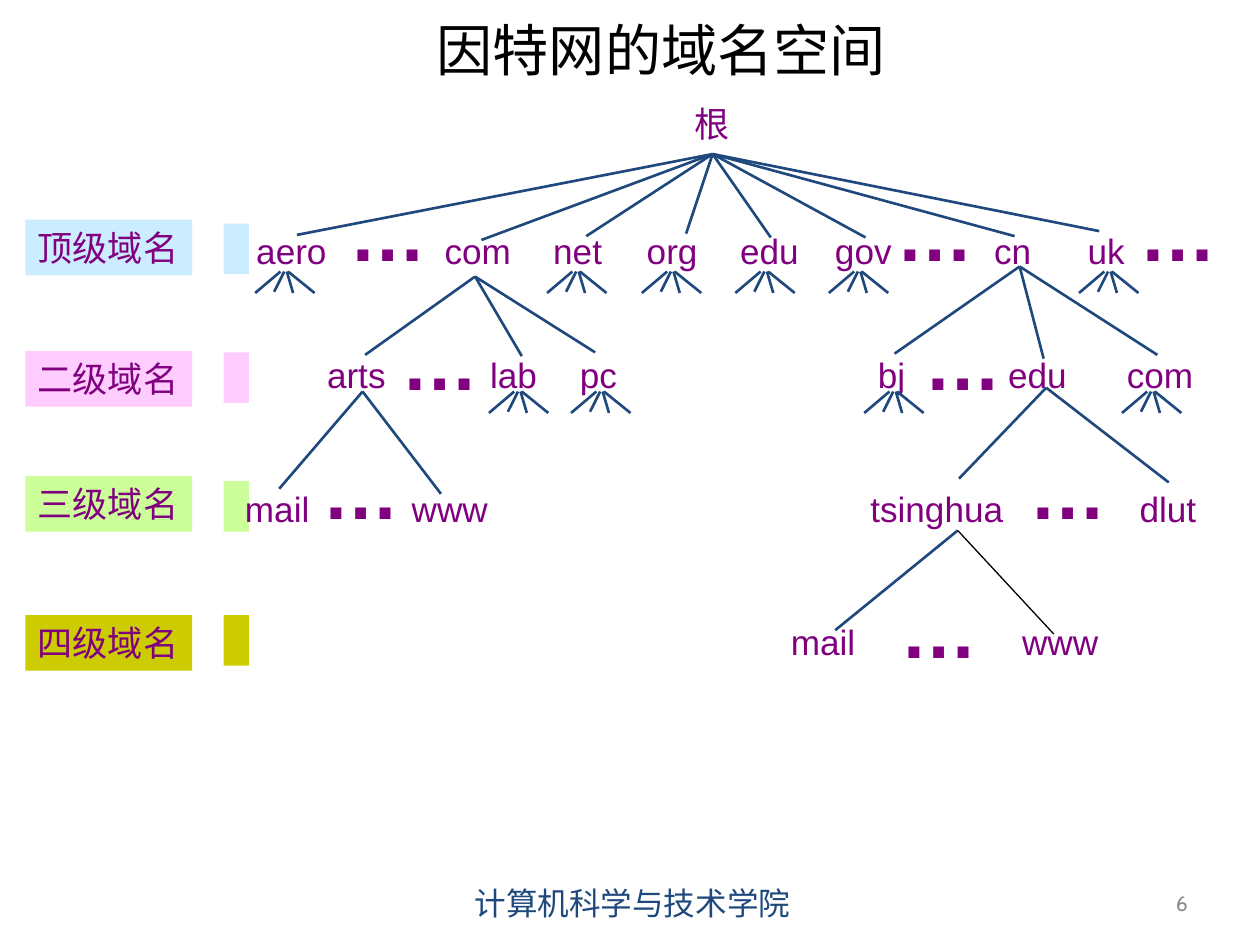
from dataclasses import dataclass

import lxml.etree
import pptx
import pptx.dml.color
import pptx.enum.shapes
import pptx.enum.text
import pptx.oxml.ns
import pptx.util

PX = 9144  # EMU in one px, 100 px to the inch
ALIGN = pptx.enum.text.PP_ALIGN
ANCHOR = pptx.enum.text.MSO_ANCHOR


@dataclass(frozen=True)
class Theme:
    title: str = "000000"
    label: str = "800080"
    branch: str = "1F497D"
    thin_branch: str = "000000"
    number: str = "8C8C8C"
    background: str = "FFFFFF"
    title_size: int = 32
    label_size: int = 20
    dots_size: int = 44
    footer_size: int = 18
    number_size: int = 12
    label_font: str = "Arial"
    footer_font: str = "Cabin"
    chinese_font: str = "Noto Sans CJK SC"
    branch_width: float = 1.5
    thin_width: float = 0.75


THEME = Theme()


@dataclass(frozen=True)
class Level:
    caption: str
    color: str
    caption_top: int
    tab_top: int
    names_top: int
    names: tuple  # (text, left, width)
    dots_top: int
    dots: tuple  # left edges
    fan_top: int = 0
    fans: tuple = ()  # centres


LEVELS = (
    Level("顶级域名", "CCECFF", 174, 177, 177,
          (("aero", 193, 76), ("com", 342, 73), ("net", 428, 59), ("org", 502, 61),
           ("edu", 576, 67), ("gov", 651, 65), ("cn", 777, 50), ("uk", 851, 50)),
          141, (267, 700, 892), 215, (225, 456, 531, 605, 679, 877)),
    Level("二级域名", "FFCCFF", 278, 279, 275,
          (("arts", 249, 70), ("lab", 378, 65), ("pc", 449, 51),
           ("bj", 685, 42), ("edu", 788, 67), ("com", 882, 73)),
          243, (308, 722), 310, (410, 475, 707, 911)),
    Level("三级域名", "CCFF99", 377, 381, 381,
          (("mail", 184, 72), ("www", 316, 81), ("tsinghua", 679, 126), ("dlut", 892, 65)),
          345, (245, 805)),
    Level("四级域名", "CCCC00", 487, 487, 486,
          (("mail", 616, 72), ("www", 799, 81)),
          455, (703,)),
)

ROOT_BRANCH_ENDS = ((235, 186), (381, 190), (464, 187), (543, 185),
                    (610, 188), (685, 188), (803, 187), (870, 183))

# Parent point, then the points of its children
BRANCHES = (
    ((376, 219), ((289, 281), (413, 282), (471, 279))),
    ((807, 211), ((708, 280), (826, 284), (916, 281))),
    ((287, 310), ((221, 387), (349, 391))),
    ((828, 307), ((759, 379), (925, 382))),
    ((758, 420), ((661, 499),)),
)

# Start x, end x and depth of each ray, from the centre of the fan
FAN_RAYS = ((-3, -23, 17), (0, -8, 16), (2, 7, 17), (3, 24, 17))


def px(*lengths):
    return [pptx.util.Emu(length * PX) for length in lengths]


def rgb(color):
    return pptx.dml.color.RGBColor.from_string(color)


def write_text(shape, text, size, color, font_name=THEME.label_font, align=ALIGN.LEFT,
               anchor=ANCHOR.TOP, wrap=False, bold=False):
    frame = shape.text_frame
    frame.word_wrap = wrap
    frame.vertical_anchor = anchor
    paragraph = frame.paragraphs[0]
    paragraph.text = text
    paragraph.alignment = align
    font = paragraph.font
    font.name = font_name
    font.size = pptx.util.Pt(size)
    font.bold = bold
    font.color.rgb = rgb(color)
    properties = paragraph._p.pPr.find(pptx.oxml.ns.qn("a:defRPr"))
    east_asian = lxml.etree.SubElement(properties, pptx.oxml.ns.qn("a:ea"))
    east_asian.set("typeface", THEME.chinese_font)


def add_text(slide, box, text, size, color, **style):
    write_text(slide.shapes.add_textbox(*px(*box)), text, size, color, **style)


def add_block(slide, box, color):
    block = slide.shapes.add_shape(pptx.enum.shapes.MSO_SHAPE.RECTANGLE, *px(*box))
    block.shadow.inherit = False
    block.fill.solid()
    block.fill.fore_color.rgb = rgb(color)
    block.line.fill.background()
    return block


def add_branch(slide, start, end, color=THEME.branch, width=THEME.branch_width):
    branch = slide.shapes.add_connector(
        pptx.enum.shapes.MSO_CONNECTOR.STRAIGHT, *px(*start, *end))
    branch.line.color.rgb = rgb(color)
    branch.line.width = pptx.util.Pt(width)
    lxml.etree.SubElement(branch._element.spPr, pptx.oxml.ns.qn("a:effectLst"))
    return branch


def add_fan(slide, center, top):
    """Draw the short rays that stand for subdomains not listed."""
    for start, end, depth in FAN_RAYS:
        add_branch(slide, (center + start, top), (center + end, top + depth))


def add_level(slide, level):
    add_block(slide, (177, level.tab_top, 20, 40), level.color)
    caption = add_block(slide, (20, level.caption_top, 132, 44), level.color)
    write_text(caption, level.caption, THEME.label_size, THEME.label)
    for name, left, width in level.names:
        add_text(slide, (left, level.names_top, width, 44), name,
                 THEME.label_size, THEME.label)
    for left in level.dots:
        add_text(slide, (left, level.dots_top, 82, 84), "…",
                 THEME.dots_size, THEME.label, bold=True)
    for center in level.fans:
        add_fan(slide, center, level.fan_top)


def add_root(slide):
    root = add_block(slide, (536, 74, 56, 48), THEME.background)
    write_text(root, "根", THEME.label_size, THEME.label,
               align=ALIGN.CENTER, anchor=ANCHOR.MIDDLE)
    for end in ROOT_BRANCH_ENDS:
        add_branch(slide, (564, 122), end).begin_connect(root, 2)


def add_title(slide, text):
    title = slide.shapes.title
    title.left, title.top, title.width, title.height = px(168, 5, 711, 68)
    write_text(title, text, THEME.title_size, THEME.title, font_name=THEME.chinese_font,
               align=ALIGN.CENTER, anchor=ANCHOR.MIDDLE, wrap=True)


def add_footer(slide):
    style = dict(font_name=THEME.footer_font, anchor=ANCHOR.MIDDLE, wrap=True)
    add_text(slide, (717, 695, 233, 40), "6", THEME.number_size, THEME.number,
             align=ALIGN.RIGHT, **style)
    add_text(slide, (342, 695, 317, 40), "计算机科学与技术学院", THEME.footer_size,
             THEME.branch, align=ALIGN.CENTER, **style)


def main():
    presentation = pptx.Presentation()
    presentation.slide_width = pptx.util.Pt(718)
    presentation.slide_height = pptx.util.Pt(537)
    slide = presentation.slides.add_slide(presentation.slide_layouts[5])
    add_title(slide, "因特网的域名空间")
    add_root(slide)
    for level in LEVELS:
        add_level(slide, level)
    for parent, children in BRANCHES:
        for child in children:
            add_branch(slide, parent, child)
    add_branch(slide, (758, 420), (834, 502), THEME.thin_branch, THEME.thin_width)
    add_footer(slide)
    presentation.save("out.pptx")


if __name__ == "__main__":
    main()
